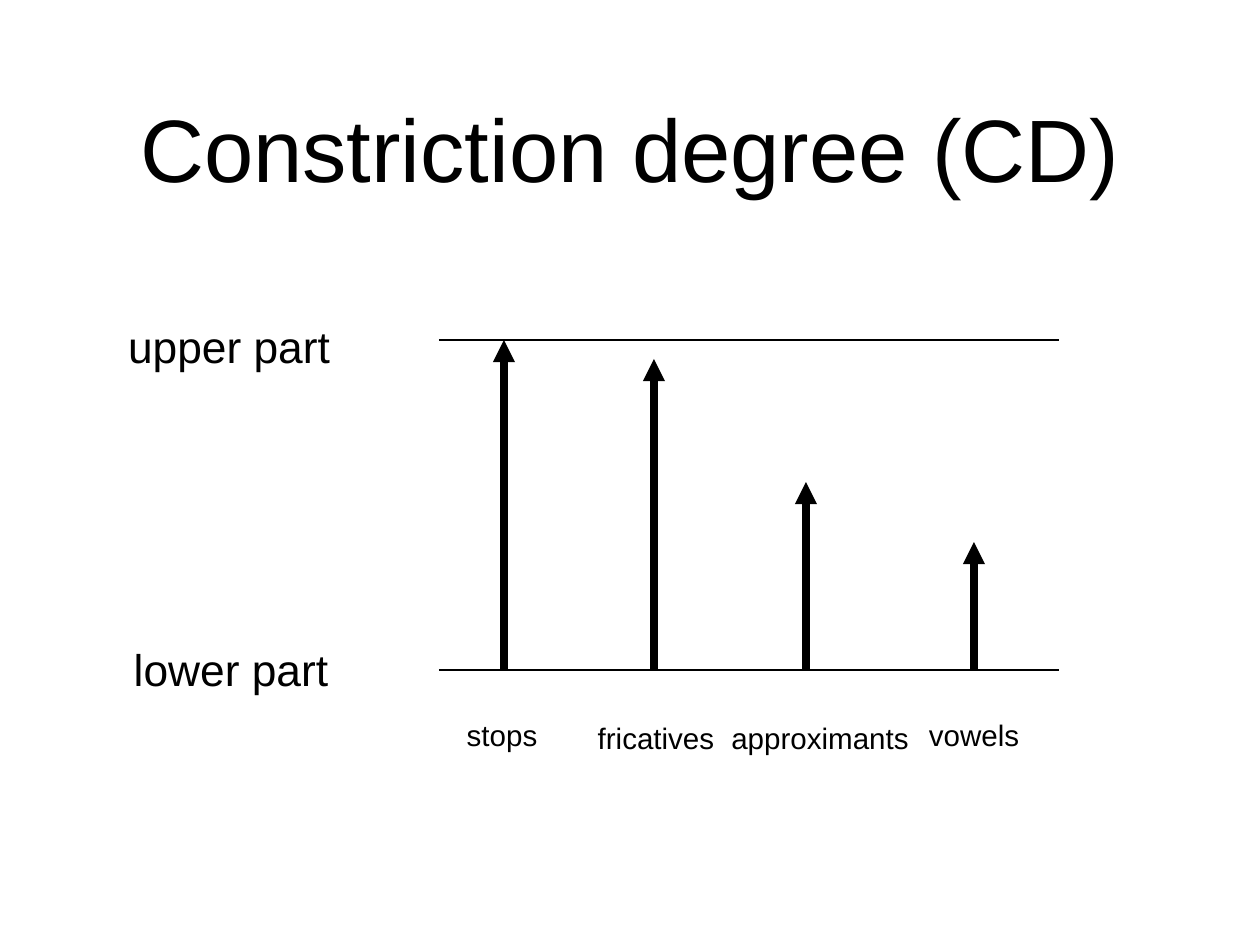
from lxml import etree
from pptx import Presentation
from pptx.dml.color import RGBColor
from pptx.enum.shapes import MSO_CONNECTOR as Connector
from pptx.enum.text import MSO_ANCHOR as Anchor, MSO_AUTO_SIZE as AutoSize, PP_ALIGN as Align
from pptx.oxml.ns import qn
from pptx.util import Pt

# Content: lengths in px
TITLE = "Constriction degree (CD)"
TITLE_BOX = (92, 43, 1076, 209)
UPPER_Y, LOWER_Y = 340, 670
LEFT_X, RIGHT_X = 439, 1059
# (label, centre x, centre y, width)
PARTS = [
    ("upper part", 229, 346, 222),
    ("lower part", 231, 669, 209),
]
# (label, arrow x, arrow tip y, label centre x, label centre y, label width)
SOUNDS = [
    ("stops", 504, UPPER_Y, 502, 735, 83),
    ("fricatives", 654, 359, 656, 738, 129),
    ("approximants", 806, 482, 820, 738, 191),
    ("vowels", 974, 542, 974, 735, 101),
]

BLACK = RGBColor(0, 0, 0)
WHITE = RGBColor(255, 255, 255)
FONT = "Arial"
SLIDE_W, SLIDE_H = 1260, 945
SCALE = 914400 / 88.6


def px(length):
    return round(length * SCALE)


def write(shape, text, size, inset=0, wrap=True, fit=AutoSize.NONE):
    frame = shape.text_frame
    frame.margin_left = frame.margin_right = px(inset)
    frame.margin_top = frame.margin_bottom = px(inset)
    frame.vertical_anchor = Anchor.MIDDLE
    frame.auto_size = fit
    frame.word_wrap = wrap
    paragraph = frame.paragraphs[0]
    paragraph.alignment = Align.CENTER
    run = paragraph.add_run()
    run.text = text
    run.font.name = FONT
    run.font.size = Pt(size)
    run.font.color.rgb = BLACK


def add_label(slide, text, centre_x, centre_y, width, height, size):
    label = slide.shapes.add_textbox(
        px(centre_x - width / 2), px(centre_y - height / 2), px(width), px(height))
    write(label, text, size, inset=5, wrap=False, fit=AutoSize.SHAPE_TO_FIT_TEXT)


def add_line(slide, x1, y1, x2, y2, weight, arrow=False):
    line = slide.shapes.add_connector(
        Connector.STRAIGHT, px(x1), px(y1), px(x2), px(y2))
    line.line.color.rgb = BLACK
    line.line.width = Pt(weight)
    if arrow:
        etree.SubElement(line.line._get_or_add_ln(), qn("a:tailEnd"), type="triangle")
    etree.SubElement(line._element.spPr, qn("a:effectLst"))


def main():
    deck = Presentation()
    deck.slide_width, deck.slide_height = px(SLIDE_W), px(SLIDE_H)
    slide = deck.slides.add_slide(deck.slide_layouts[5])
    slide.background.fill.solid()
    slide.background.fill.fore_color.rgb = WHITE

    # Title
    title = slide.shapes.title
    title.left, title.top, title.width, title.height = map(px, TITLE_BOX)
    write(title, TITLE, 72)

    # Upper and lower limits of the vocal tract
    for y in (UPPER_Y, LOWER_Y):
        add_line(slide, LEFT_X, y, RIGHT_X, y, 2)
    for text, centre_x, centre_y, width in PARTS:
        add_label(slide, text, centre_x, centre_y, width, 63, 36)

    # One arrow and label per sound class
    for text, x, tip_y, centre_x, centre_y, width in SOUNDS:
        add_line(slide, x, LOWER_Y, x, tip_y, 6, arrow=True)
        add_label(slide, text, centre_x, centre_y, width, 45, 24)

    deck.save("out.pptx")


if __name__ == "__main__":
    main()
